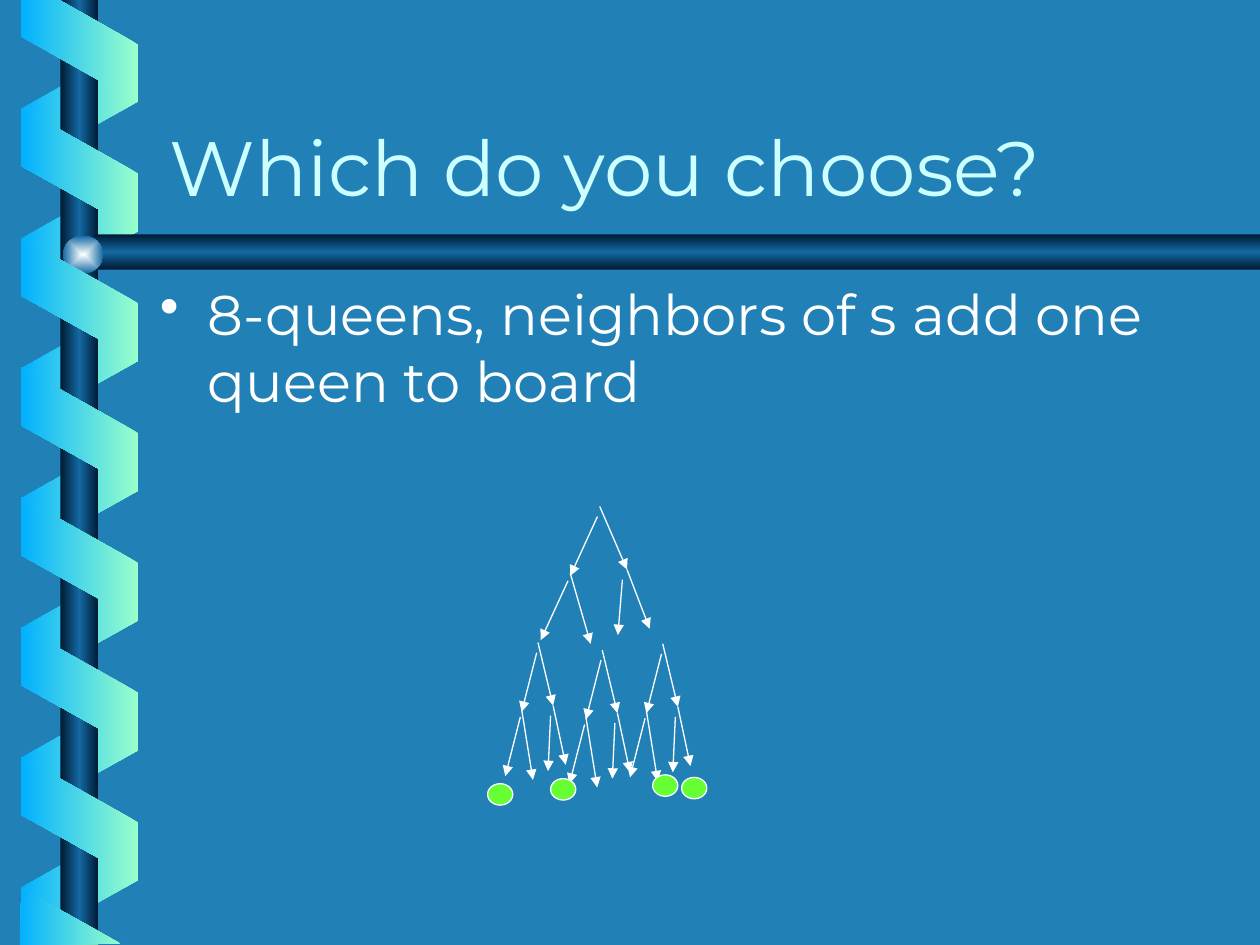
"""Build the slide on choosing a search for eight queens."""
from dataclasses import dataclass
from typing import NamedTuple

from lxml import etree
from pptx import Presentation
from pptx.dml.color import RGBColor
from pptx.enum.shapes import MSO_CONNECTOR, MSO_SHAPE
from pptx.enum.text import MSO_ANCHOR
from pptx.oxml import parse_xml
from pptx.oxml.ns import qn
from pptx.util import Inches, Pt

STRAIGHT = MSO_CONNECTOR.STRAIGHT
OVAL = MSO_SHAPE.OVAL
RECT = MSO_SHAPE.RECTANGLE
SLANT = MSO_SHAPE.PARALLELOGRAM
TOP = MSO_ANCHOR.TOP
BOTTOM = MSO_ANCHOR.BOTTOM
SPACE = "http://schemas.openxmlformats.org/drawingml/2006/main"


@dataclass(frozen=True)
class Theme:
    back: str = "2181B7"
    sky: str = "01B0FF"
    mint: str = "99FFCC"
    navy: str = "001932"
    blue: str = "1369A3"
    pearl: str = "FEFFFF"
    white: str = "FFFFFF"
    title: str = "CCFFFF"
    goal: str = "66FF33"
    font: str = "Montserrat"
    head: int = 44
    body: int = 32
    rule: float = 0.75


class Box(NamedTuple):
    left: float
    top: float
    width: float
    height: float


class Edge(NamedTuple):
    x1: float
    y1: float
    x2: float
    y2: float


class Tree(NamedTuple):
    x: float
    y: float
    wide: float


class Coil(NamedTuple):
    top: float
    count: int
    turn: int
    flip: bool
    tones: tuple


class Label(NamedTuple):
    box: Box
    text: str
    size: int
    tone: str
    anchor: MSO_ANCHOR


THEME = Theme()
POLE = (THEME.navy, THEME.blue, THEME.navy)
FRONT = (THEME.mint, THEME.sky)
REAR = Coil(0.37, 7, 90, True, (THEME.sky, THEME.mint))
FORE = Coil(0.88, 6, 270, False, FRONT)
STEP = 1.03

BAR = ((10, 1.86), (0.76, 1.86), (0.6, 2), (0.76, 2.14), (10, 2.14))
ENDS = (
    ((0.17, 0), (0.17, 0.29), (1.09, 0.81), (1.09, 0.35), (0.47, 0)),
    ((0.96, 7.49), (0.17, 7.05), (0.16, 7.5)),
)

EDGES = (
    Edge(-0.01, 0.08, -0.13, 0.55),
    Edge(0, 0, 0.12, 0.5),
    Edge(-0.14, 0.59, -0.26, 1.06),
    Edge(-0.13, 0.53, -0.04, 1.09),
    Edge(0.1, 0.58, 0.08, 1.02),
    Edge(0.12, 0.5, 0.22, 0.97),
)
TREES = (
    Tree(4.27, 5.1, 1),
    Tree(4.76, 4.02, 1.8),
    Tree(5.26, 5.11, 1),
    Tree(4.78, 5.16, 1),
)
GOALS = ((3.87, 6.22), (4.37, 6.18), (5.18, 6.15), (5.41, 6.17))

TITLE = Label(Box(1.25, 0.89, 8.5, 0.84), "Which do you choose?",
              THEME.head, THEME.title, BOTTOM)
BODY = Label(Box(1.17, 2.17, 8.58, 1.58),
             "8-queens, neighbors of s add one queen to board",
             THEME.body, THEME.white, TOP)


def blend(shape, tones: tuple, way: str) -> None:
    """Fill a shape with evenly spaced gradient stops and no line."""
    shape.shadow.inherit = False
    shape.line.fill.background()
    shape.fill.background()
    last = len(tones) - 1
    stops = "".join(
        f'<a:gs pos="{100000 * i // last}"><a:srgbClr val="{tone}"/></a:gs>'
        for i, tone in enumerate(tones))
    props = shape._element.spPr
    props.replace(props.find(qn("a:noFill")), parse_xml(
        f'<a:gradFill xmlns:a="{SPACE}" rotWithShape="0">'
        f"<a:gsLst>{stops}</a:gsLst>{way}</a:gradFill>"))


def slope(angle: int) -> str:
    """Give the direction of a linear gradient."""
    return f'<a:lin ang="{angle * 60000}" scaled="1"/>'


def place(slide, kind: MSO_SHAPE, box: Box):
    """Add a preset shape in a box."""
    return slide.shapes.add_shape(kind, *map(Inches, box))


def draw_coil(slide, coil: Coil) -> None:
    """Draw one side of the ribbon down the slide."""
    for i in range(coil.count):
        band = place(slide, SLANT, Box(0.14, coil.top + i * STEP, 0.98, 0.93))
        band.adjustments[0] = 0.56
        band.rotation = coil.turn
        if coil.flip:
            band._element.spPr.xfrm.set("flipH", "1")
        blend(band, coil.tones, slope(180))


def draw_form(slide, points: tuple, tones: tuple, angle: int) -> None:
    """Draw a closed outline with a gradient."""
    spots = [(Inches(x), Inches(y)) for x, y in points]
    pen = slide.shapes.build_freeform(*spots[0])
    pen.add_line_segments(spots[1:], close=True)
    blend(pen.convert_to_shape(), tones, slope(angle))


def draw_tree(slide, tree: Tree) -> None:
    """Draw the arrows of one tree from its apex."""
    for edge in EDGES:
        line = slide.shapes.add_connector(
            STRAIGHT,
            Inches(tree.x + edge.x1 * tree.wide), Inches(tree.y + edge.y1),
            Inches(tree.x + edge.x2 * tree.wide), Inches(tree.y + edge.y2))
        line.line.color.rgb = RGBColor.from_string(THEME.white)
        line.line.width = Pt(THEME.rule)
        etree.SubElement(line.line._get_or_add_ln(), qn("a:tailEnd"),
                         type="triangle")
        etree.SubElement(line._element.spPr, qn("a:effectLst"))


def draw_goal(slide, left: float, top: float) -> None:
    """Draw one goal node."""
    node = place(slide, OVAL, Box(left, top, 0.2, 0.17))
    node.shadow.inherit = False
    node.fill.solid()
    node.fill.fore_color.rgb = RGBColor.from_string(THEME.goal)
    node.line.color.rgb = RGBColor.from_string(THEME.white)
    node.line.width = Pt(THEME.rule)


def write(slide, label: Label):
    """Write a label and return its paragraph."""
    frame = slide.shapes.add_textbox(*map(Inches, label.box)).text_frame
    frame.word_wrap = True
    frame.vertical_anchor = label.anchor
    frame.text = label.text
    para = frame.paragraphs[0]
    font = para.runs[0].font
    font.name = THEME.font
    font.size = Pt(label.size)
    font.color.rgb = RGBColor.from_string(label.tone)
    return para


def add_dot(para) -> None:
    """Give a paragraph a bullet with a hanging indent."""
    para.space_before = Pt(8)
    props = para._p.get_or_add_pPr()
    props.set("marL", str(Inches(0.38)))
    props.set("indent", str(Inches(-0.38)))
    tint = etree.SubElement(props, qn("a:buClr"))
    etree.SubElement(tint, qn("a:srgbClr"), val=THEME.white)
    etree.SubElement(props, qn("a:buChar"), char="•")


def main() -> None:
    """Build and save the slide."""
    deck = Presentation()
    deck.slide_width, deck.slide_height = Inches(10), Inches(7.5)
    slide = deck.slides.add_slide(deck.slide_layouts[6])
    fill = slide.background.fill
    fill.solid()
    fill.fore_color.rgb = RGBColor.from_string(THEME.back)

    draw_coil(slide, REAR)
    blend(place(slide, RECT, Box(0.48, 0, 0.3, 7.5)), POLE, slope(180))
    draw_form(slide, BAR, POLE, 90)
    blend(place(slide, OVAL, Box(0.5, 1.87, 0.32, 0.3)),
          (THEME.pearl, THEME.blue),
          '<a:path path="rect"><a:fillToRect l="50000" t="50000" '
          'r="50000" b="50000"/></a:path>')
    draw_coil(slide, FORE)
    for points in ENDS:
        draw_form(slide, points, FRONT, 180)

    write(slide, TITLE)
    add_dot(write(slide, BODY))
    for tree in TREES:
        draw_tree(slide, tree)
    for left, top in GOALS:
        draw_goal(slide, left, top)
    deck.save("out.pptx")


if __name__ == "__main__":
    main()
